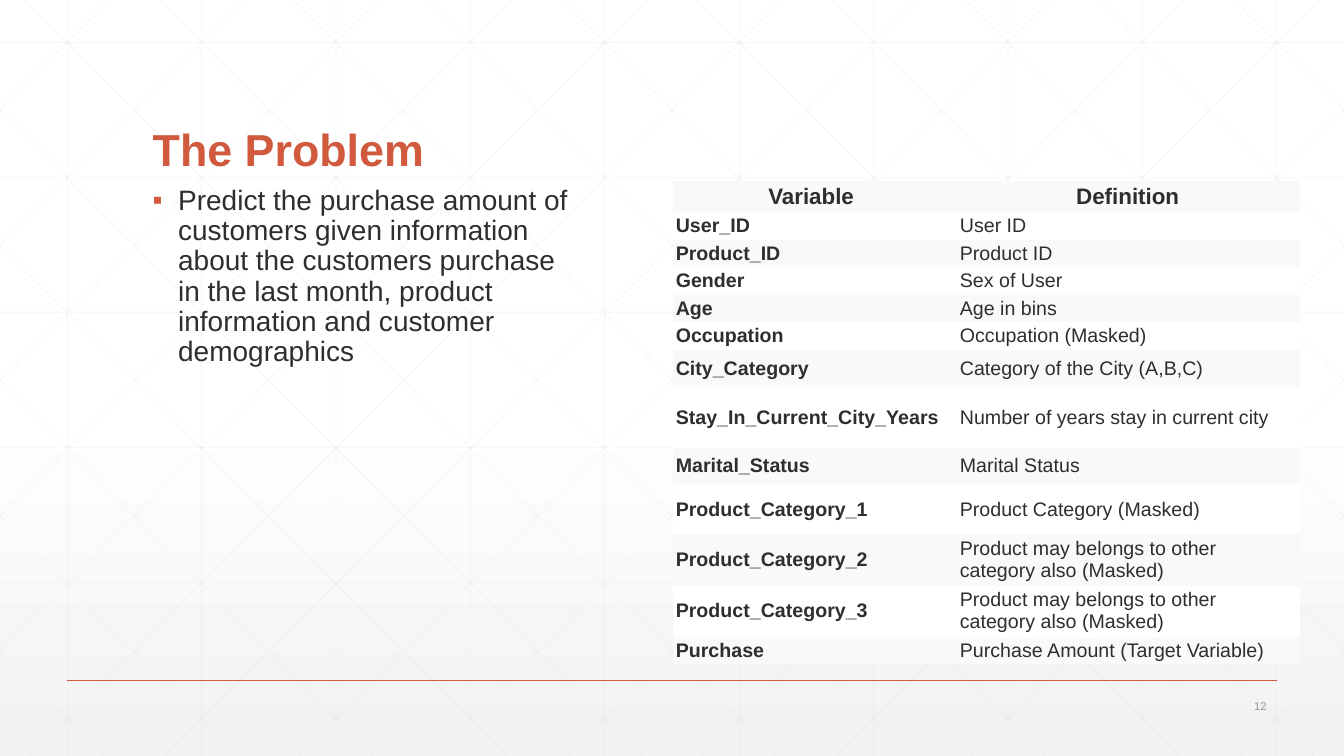
from lxml import etree
from pptx import Presentation
from pptx.dml.color import RGBColor
from pptx.enum.shapes import MSO_CONNECTOR
from pptx.enum.text import MSO_ANCHOR, PP_ALIGN
from pptx.oxml.ns import qn
from pptx.util import Cm, Pt

STRAIGHT = MSO_CONNECTOR.STRAIGHT
TOP, MIDDLE, BOTTOM = MSO_ANCHOR.TOP, MSO_ANCHOR.MIDDLE, MSO_ANCHOR.BOTTOM
LEFT, CENTER, RIGHT = PP_ALIGN.LEFT, PP_ALIGN.CENTER, PP_ALIGN.RIGHT

COLORS = {"accent": "D15A3E", "text": "2D2E2D", "number": "959795",
          "grid": "D9D9D9", "band": "F9F9F9", "white": "FFFFFF", "shade": "F2F2F2"}
BACKGROUND_STOPS = [(0, "white"), (53, "white"), (100, "shade")]

TITLE = "The Problem"
BODY = ("Predict the purchase amount of customers given information about the "
        "customers purchase in the last month, product information and customer demographics")
SLIDE_NUMBER = "12"

# Variable, definition, row height in cm
VARIABLES = [
    ("Variable ", "Definition", 0.77),
    ("User_ID", "User ID", 0.68),
    ("Product_ID", "Product ID", 0.68),
    ("Gender", "Sex of User", 0.68),
    ("Age", "Age in bins", 0.68),
    ("Occupation", "Occupation (Masked)", 0.68),
    ("City_Category", "Category of the City (A,B,C)", 0.93),
    ("Stay_In_Current_City_Years", "Number of years stay in current city", 1.53),
    ("Marital_Status", "Marital Status", 0.93),
    ("Product_Category_1", "Product Category (Masked)", 1.26),
    ("Product_Category_2", "Product may belongs to other category also (Masked)", 1.27),
    ("Product_Category_3", "Product may belongs to other category also (Masked)", 1.27),
    ("Purchase", "Purchase Amount (Target Variable)", 0.68),
]
COLUMN_WIDTHS = [7.14, 8.66]
SIDE_MARGINS = [0.08, 0.1]

# Lengths in cm
WIDTH, HEIGHT = 33.87, 19.05
GRID_STEP = WIDTH / 10
ROW_START, ROW_STEP = 1.07, 3.4
DIAGONAL_START, DIAGONAL_RUN = 0.63, 18.93


def color(name):
    return RGBColor.from_string(COLORS[name])


def add_line(slide, start, end, color_name, width, opacity=100):
    line = slide.shapes.add_connector(STRAIGHT, *(Cm(value) for value in (*start, *end)))
    line.line.color.rgb = color(color_name)
    line.line.width = Pt(width)
    properties = line._element.spPr
    if opacity < 100:
        tint = properties.find(".//" + qn("a:srgbClr"))
        etree.SubElement(tint, qn("a:alpha"), val=str(opacity * 1000))
    etree.SubElement(properties, qn("a:effectLst"))


def write(frame, text, size, color_name, bold=False, align=LEFT, **paragraph_format):
    paragraph = frame.paragraphs[0]
    for name, value in {"alignment": align, **paragraph_format}.items():
        setattr(paragraph, name, value)
    run = paragraph.add_run()
    run.text = text
    for name, value in {"name": "Arial", "size": Pt(size), "bold": bold}.items():
        setattr(run.font, name, value)
    run.font.color.rgb = color(color_name)
    return paragraph


def add_text(slide, box, anchor, *content, **formats):
    frame = slide.shapes.add_textbox(*(Cm(value) for value in box)).text_frame
    frame.word_wrap = True
    frame.vertical_anchor = anchor
    return write(frame, *content, **formats)


def add_bullet(paragraph, character, color_name):
    properties = paragraph._p.get_or_add_pPr()
    indent = Cm(0.64)
    properties.set("marL", str(indent))
    properties.set("indent", str(-indent))
    bullet_color = etree.SubElement(properties, qn("a:buClr"))
    etree.SubElement(bullet_color, qn("a:srgbClr"), val=COLORS[color_name])
    etree.SubElement(properties, qn("a:buFont"), typeface="Arial")
    etree.SubElement(properties, qn("a:buChar"), char=character)


def add_background(slide):
    fill = slide.background.fill
    fill.gradient()
    fill.gradient_angle = 270
    stops = slide._element.find(".//" + qn("a:gsLst"))
    for stop in list(stops):
        stops.remove(stop)
    for position, name in BACKGROUND_STOPS:
        stop = etree.SubElement(stops, qn("a:gs"), pos=str(position * 1000))
        etree.SubElement(stop, qn("a:srgbClr"), val=COLORS[name])


def add_grid(slide):
    segments = []
    for index in range(10):
        x = (index + 0.5) * GRID_STEP
        segments.append(((x, 0), (x, HEIGHT)))
    for index in range(6):
        y = ROW_START + index * ROW_STEP
        segments.append(((0, y), (WIDTH, y)))
    # Diagonals clipped to the slide, each with its mirror image
    slope = HEIGHT / DIAGONAL_RUN
    for index in range(-5, 10):
        origin = DIAGONAL_START + index * GRID_STEP
        left, right = max(origin, 0), min(origin + DIAGONAL_RUN, WIDTH)
        top, bottom = (left - origin) * slope, (right - origin) * slope
        segments.append(((left, top), (right, bottom)))
        segments.append(((WIDTH - left, top), (WIDTH - right, bottom)))
    for start, end in segments:
        add_line(slide, start, end, "grid", 0.5, opacity=25)


def add_variable_table(slide):
    heights = [row[2] for row in VARIABLES]
    shape = slide.shapes.add_table(len(VARIABLES), 2, Cm(16.95), Cm(4.57),
                                   Cm(sum(COLUMN_WIDTHS)), Cm(sum(heights)))
    table = shape.table
    table.first_row = table.horz_banding = False
    # Table style without borders
    style = table._tbl.find(".//" + qn("a:tableStyleId"))
    style.text = "{2D5ABB26-0587-4C30-8999-92F81FD0307C}"
    for column, width in zip(table.columns, COLUMN_WIDTHS):
        column.width = Cm(width)
    for row_index, (*texts, height) in enumerate(VARIABLES):
        table.rows[row_index].height = Cm(height)
        header = row_index == 0
        for column_index, text in enumerate(texts):
            cell = table.cell(row_index, column_index)
            cell.fill.solid()
            cell.fill.fore_color.rgb = color("white" if row_index % 2 else "band")
            side = Cm(SIDE_MARGINS[column_index])
            formats = {"vertical_anchor": MIDDLE, "margin_left": side, "margin_right": side,
                       "margin_top": Cm(0.05), "margin_bottom": Cm(0.05)}
            for name, value in formats.items():
                setattr(cell, name, value)
            write(cell.text_frame, text, 16 if header else 14, "text",
                  bold=header or column_index == 0, align=CENTER if header else LEFT)


def main():
    presentation = Presentation()
    presentation.slide_width, presentation.slide_height = Cm(WIDTH), Cm(HEIGHT)
    slide = presentation.slides.add_slide(presentation.slide_layouts[6])

    # Backdrop and footer rule
    add_background(slide)
    add_grid(slide)
    add_line(slide, (1.69, 17.15), (32.17, 17.15), "accent", 1)

    # Title, body and slide number
    add_text(slide, (3.6, 1.4, 26.67, 3.17), BOTTOM, TITLE, 32, "accent",
             bold=True, line_spacing=0.9)
    body = add_text(slide, (3.6, 4.57, 11.3, 10.6), TOP, BODY, 20, "text",
                    line_spacing=0.9, space_before=Pt(18))
    add_bullet(body, "▪", "accent")
    add_text(slide, (29.63, 17.48, 2.54, 0.61), MIDDLE, SLIDE_NUMBER, 8, "number", align=RIGHT)

    # Variable definitions
    add_variable_table(slide)
    presentation.save("out.pptx")


if __name__ == "__main__":
    main()
